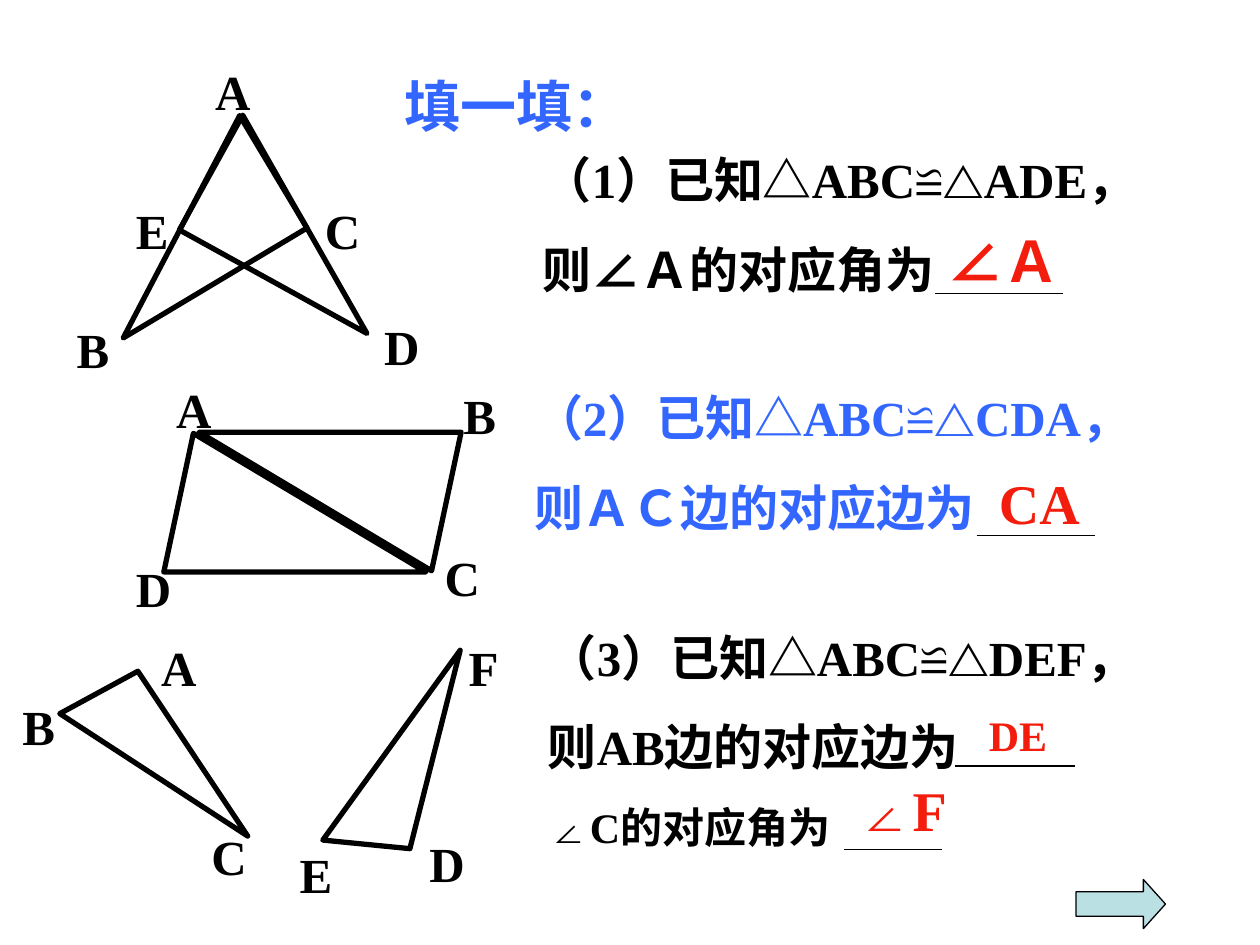
"""Build a geometry slide on matching parts of congruent triangles."""
from pptx import Presentation
from pptx.dml.color import RGBColor
from pptx.enum.shapes import MSO_CONNECTOR, MSO_SHAPE
from pptx.enum.text import MSO_ANCHOR, MSO_AUTO_SIZE, PP_ALIGN
from pptx.oxml.ns import qn
from pptx.util import Inches, Pt
from lxml import etree

TRIANGLE = MSO_SHAPE.ISOSCELES_TRIANGLE
ARROW = MSO_SHAPE.RIGHT_ARROW
STRAIGHT = MSO_CONNECTOR.STRAIGHT
LEFT = PP_ALIGN.LEFT
TOP = MSO_ANCHOR.TOP
FIXED = MSO_AUTO_SIZE.NONE

BLACK = RGBColor(0x00, 0x00, 0x00)
BLUE = RGBColor(0x33, 0x66, 0xFF)
RED = RGBColor(0xF3, 0x1D, 0x0D)
TEAL = RGBColor(0xBB, 0xE0, 0xE3)

SERIF = "Times New Roman"
SANS = "Arial"
CELL = Inches(0.1)
LABEL = (3.9, 5.7)

FIGURES = [
    ([((13, 34.4, 20.8, 11), 0, 0.113, False),
      ((15.8, 34.3, 20.8, 11), 180, 0.113, False)],
     [("A", 13, 29.6), ("D", 9.8, 43.8), ("C", 34.3, 43), ("B", 35.8, 30.1)]),
    ([((19, 9.3, 10.4, 17), 118.9, 0, True),
      ((9.2, 9.5, 10.4, 17), 239.1, 0, False)],
     [("A", 16.1, 4.4), ("E", 9.8, 15.4), ("B", 5.1, 24.9),
      ("D", 29.5, 24.6), ("C", 24.8, 15.4)]),
    ([((5, 55.8, 17.8, 6.2), 33.1, 0.812, True),
      ((24.2, 57.9, 18.6, 6), 125.9, 0.812, False)],
     [("A", 11.8, 50.1), ("B", 0.8, 54.8), ("C", 15.8, 65.1),
      ("D", 33.1, 65.7), ("E", 22.8, 66.5), ("F", 36.2, 50.1)]),
]
TASKS = [
    ((41.4, 30.3, 56.7, 12.8), BLUE,
     [("（2）已知△ABC≌△CDA，", 28), ("则ＡＣ边的对应边为", 28)]),
    ((42.1, 11.4, 57.9, 12.8), BLACK,
     [("（1）已知△ABC≌△ADE，", 28), ("则∠Ａ的对应角为", 28)]),
    ((42.5, 49.3, 57.9, 18.9), BLACK,
     [("（3）已知△ABC≌△DEF，", 28), ("则AB边的对应边为", 28),
      ("∠C的对应角为", 24)]),
]
BLANKS = [(77.5, 86.9, 42.5), (74.2, 84.4, 23.3),
          (75.8, 85.3, 60.8), (67, 74.8, 67.4)]
ANSWERS = [
    ((78.3, 36.7, 12.6, 6.4), "CA", 32),
    ((74.2, 17.5, 19.9, 6.4), "∠Ａ", 32),
    ((77.5, 55.8, 9.4, 5), "DE", 24),
    ((67, 61.1, 13.4, 6.4), "∠F", 32),
]


def cells(box):
    """Turn grid cells into slide lengths."""
    return [int(n * CELL) for n in box]


def style(para, size, color, name=SERIF):
    """Set the bold font of a paragraph."""
    font = para.font
    font.size, font.bold, font.name = Pt(size), True, name
    font.color.rgb = color


def write(shapes, box, lines, color):
    """Add a text box with one paragraph for each line."""
    frame = shapes.add_textbox(*cells(box)).text_frame
    frame.word_wrap = True
    for i, (text, size) in enumerate(lines):
        para = frame.add_paragraph() if i else frame.paragraphs[0]
        para.text = text
        if i:
            para.space_before = Pt(size * 0.625)
        style(para, size, color)


def outline(shapes, kind, box, width):
    """Add a preset shape with a black edge and no fill."""
    shape = shapes.add_shape(kind, *cells(box))
    shape.shadow.inherit = False
    shape.fill.background()
    shape.line.color.rgb = BLACK
    shape.line.width = Pt(width)
    return shape


def draw(slide, sides, names):
    """Add a group of turned triangles with named corners."""
    shapes = slide.shapes.add_group_shape().shapes
    for box, turn, apex, flip in sides:
        shape = outline(shapes, TRIANGLE, box, 3)
        shape.adjustments[0] = apex
        shape.rotation = turn
        if flip:
            shape._element.spPr.find(qn("a:xfrm")).set("flipH", "1")
    for name, x, y in names:
        write(shapes, (x, y, *LABEL), [(name, 28)], BLACK)


def rule(slide, left, right, y):
    """Add the line of an answer blank."""
    line = slide.shapes.add_connector(STRAIGHT, *cells((left, y, right, y)))
    line.line.color.rgb = BLACK
    line.line.width = Pt(0.75)
    etree.SubElement(line._element.spPr, qn("a:effectLst"))


def head(slide, text):
    """Place and format the title."""
    title = slide.shapes.title
    title.left, title.top, title.width, title.height = cells((31.1, 5.2, 32.3, 6.4))
    frame = title.text_frame
    frame.text = text
    frame.auto_size = FIXED
    frame.vertical_anchor = TOP
    para = frame.paragraphs[0]
    para.alignment = LEFT
    style(para, 32, BLUE, SANS)


def main():
    """Build and save the slide."""
    deck = Presentation()
    deck.slide_width, deck.slide_height = cells((100, 75))
    slide = deck.slides.add_slide(deck.slide_layouts[5])
    head(slide, "填一填：")
    for sides, names in FIGURES:
        draw(slide, sides, names)
    for box, color, lines in TASKS:
        write(slide.shapes, box, lines, color)
    for blank in BLANKS:
        rule(slide, *blank)
    for box, text, size in ANSWERS:
        write(slide.shapes, box, [(text, size)], RED)
    arrow = outline(slide.shapes, ARROW, (85.4, 69.8, 7.1, 3.9), 0.75)
    arrow.adjustments[1] = 0.45
    arrow.fill.solid()
    arrow.fill.fore_color.rgb = TEAL
    deck.save("out.pptx")


if __name__ == "__main__":
    main()
